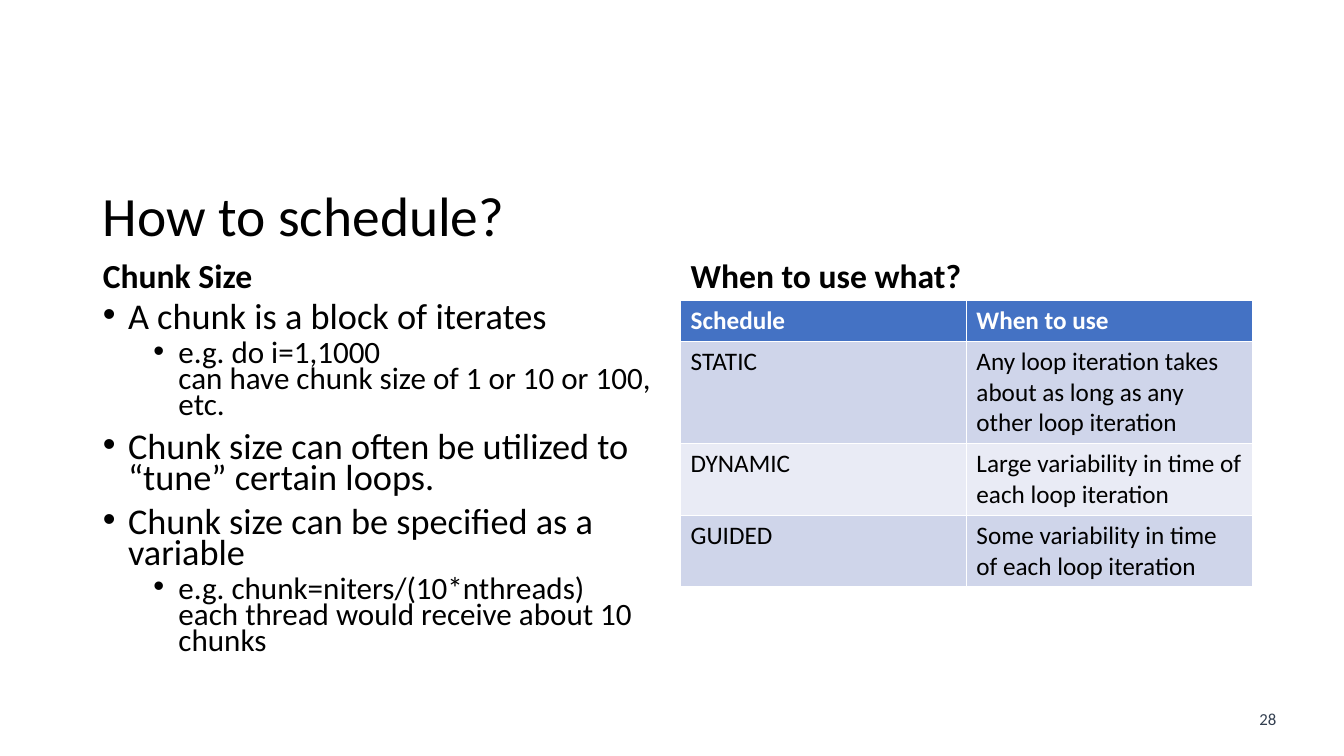
from dataclasses import dataclass
from lxml.etree import SubElement
from pptx import Presentation
from pptx.dml.color import RGBColor
from pptx.enum.text import MSO_ANCHOR, MSO_AUTO_SIZE, PP_ALIGN
from pptx.oxml.ns import qn
from pptx.util import Inches, Pt


@dataclass(frozen=True)
class Theme:
    font: str = "Calibri"
    ink: str = "000000"
    white: str = "FFFFFF"
    slate: str = "333F50"
    blue: str = "4472C4"
    bands: tuple = ("CFD5EA", "E9EBF5")
    title: float = 39.6
    head: float = 24
    levels: tuple = (25.9, 22.2)
    cell: float = 18
    small: float = 12


THEME = Theme()

POINTS = [
    (0, "A chunk is a block of iterates"),
    (1, "e.g. do i=1,1000\ncan have chunk size of 1 or 10 or 100, etc."),
    (0, "Chunk size can often be utilized to “tune” certain loops."),
    (0, "Chunk size can be specified as a variable"),
    (1, "e.g. chunk=niters/(10*nthreads)\neach thread would receive about 10 chunks"),
]

# Each row: text lines it takes, then its cells
ROWS = [
    (1, "Schedule", "When to use"),
    (3, "STATIC", "Any loop iteration takes about as long as any other loop iteration"),
    (2, "DYNAMIC", "Large variability in time of each loop iteration"),
    (2, "GUIDED", "Some variability in time of each loop iteration"),
]


def style(para, size, color=THEME.ink, bold=False):
    font = para.font
    font.name, font.size, font.bold = THEME.font, Pt(size), bold
    font.color.rgb = RGBColor.from_string(color)


def place(shape, box, anchor):
    shape.left, shape.top, shape.width, shape.height = map(Inches, box)
    frame = shape.text_frame
    frame.word_wrap = True
    frame.auto_size = MSO_AUTO_SIZE.NONE
    frame.vertical_anchor = anchor
    return frame


def add_line(shape, box, text, size, anchor, pitch, gap=0, bold=False):
    para = place(shape, box, anchor).paragraphs[0]
    para.text = text
    para.alignment = PP_ALIGN.LEFT
    para.line_spacing, para.space_before = pitch, Pt(gap)
    style(para, size, bold=bold)


def add_head(shape, box, text):
    add_line(shape, box, text, THEME.head, MSO_ANCHOR.BOTTOM, 0.8, 10, True)


def add_list(shape, box, points):
    frame = place(shape, box, MSO_ANCHOR.TOP)
    for i, (level, text) in enumerate(points):
        para = frame.add_paragraph() if i else frame.paragraphs[0]
        para.text, para.level = text, level
        props = para._p.get_or_add_pPr()
        props.set("marL", str(Inches(0.25 + 0.5 * level)))
        props.set("indent", str(Inches(-0.25)))
        SubElement(props, qn("a:buFont")).set("typeface", "Arial")
        SubElement(props, qn("a:buChar")).set("char", "•")
        para.line_spacing = 0.7
        para.space_before = Pt(5 if level else 10)
        style(para, THEME.levels[level])


def add_grid(slide, box, rows):
    left, top, width, height = map(Inches, box)
    table = slide.shapes.add_table(len(rows), 2, left, top, width, height).table
    for r, (lines, *texts) in enumerate(rows):
        table.rows[r].height = Inches(0.1 + 0.3 * lines)
        fill = THEME.bands[(r - 1) % 2] if r else THEME.blue
        for c, text in enumerate(texts):
            cell = table.cell(r, c)
            cell.fill.solid()
            cell.fill.fore_color.rgb = RGBColor.from_string(fill)
            cell.text = text
            style(cell.text_frame.paragraphs[0], THEME.cell,
                  THEME.ink if r else THEME.white, not r)


def add_page(slide, box, text):
    shape = slide.shapes.add_textbox(*map(Inches, box))
    para = place(shape, box, MSO_ANCHOR.TOP).paragraphs[0]
    para.text = text
    para.alignment = PP_ALIGN.CENTER
    style(para, THEME.small, THEME.slate)


def add_slide(deck, box):
    """Title over two columns, each with a heading and its content."""
    left, top, width, height = box
    slide = deck.slides.add_slide(deck.slide_layouts[4])
    title, head, body, side, spare = slide.placeholders
    spare.element.getparent().remove(spare.element)

    # Title
    add_line(title, (left, top, width, 0.7), "How to schedule?",
             THEME.title, MSO_ANCHOR.MIDDLE, 0.9)

    # Left column
    row, deep = top + 0.71, top + 1.16
    add_head(head, (left, row, 5.64, 0.45), "Chunk Size")
    add_list(body, (left, deep, 5.64, height - 1.16), POINTS)

    # Right column
    wide = 5.67
    right = left + width - wide
    add_head(side, (right, row, wide, 0.45), "When to use what?")
    add_grid(slide, (right, deep, wide, 2.8), ROWS)

    # Page number
    add_page(slide, (12.34, 6.98, 0.47, 0.3), "28")


def main():
    deck = Presentation()
    deck.slide_width, deck.slide_height = Inches(13.33), Inches(7.5)
    add_slide(deck, (0.92, 1.82, 11.5, 5.06))
    deck.save("out.pptx")


if __name__ == "__main__":
    main()
